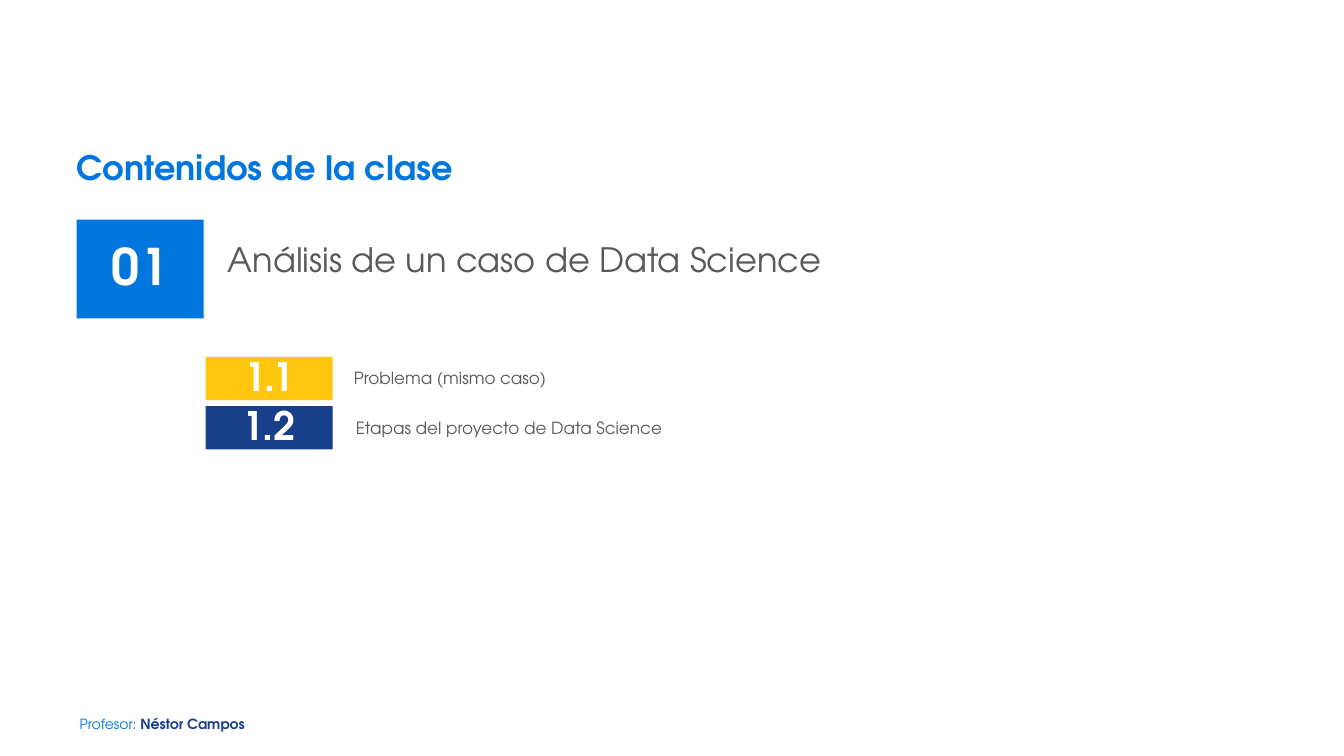
from dataclasses import dataclass
from pptx import Presentation
from pptx.dml.color import RGBColor
from pptx.enum.shapes import MSO_SHAPE
from pptx.enum.text import MSO_ANCHOR, MSO_AUTO_SIZE, PP_ALIGN
from pptx.util import Inches, Pt


@dataclass(frozen=True)
class Theme:
    font: str = "TeX Gyre Adventor"
    blue: str = "0176DE"
    navy: str = "173F8A"
    gold: str = "FEC60D"
    gray: str = "595959"
    white: str = "FFFFFF"
    head: int = 24
    big: int = 36
    mid: int = 28
    body: int = 12
    small: int = 10


theme = Theme()

# Content
heading = "Contenidos de la clase"
topic = ("01", "Análisis de un caso de Data Science")
# number, text, badge colour, left edge of the label
points = [
    ("1.1", "Problema (mismo caso)", theme.gold, 3.27),
    ("1.2", "Etapas del proyecto de Data Science", theme.navy, 3.29),
]
footer = [("Profesor: ", theme.blue, False), ("Néstor Campos", theme.navy, True)]

# Layout, in inches
left, badge_w = 0.76, 1.26
topic_y, topic_h = 2.18, 0.98
point_x, point_y, point_h, pitch = 2.04, 3.54, 0.43, 0.49


def set_font(font, size, color, bold=False):
    font.name, font.size, font.bold = theme.font, Pt(size), bold
    font.color.rgb = RGBColor.from_string(color)


def set_frame(frame, pad_x, pad_y, anchor):
    frame.word_wrap = True
    frame.auto_size = MSO_AUTO_SIZE.NONE
    frame.vertical_anchor = anchor
    frame.margin_left = frame.margin_right = Inches(pad_x)
    frame.margin_top = frame.margin_bottom = Inches(pad_y)


def add_box(slide, box, fill, text, pads):
    shape = slide.shapes.add_shape(MSO_SHAPE.RECTANGLE, *map(Inches, box))
    shape.shadow.inherit = False
    shape.fill.solid()
    shape.fill.fore_color.rgb = RGBColor.from_string(fill)
    shape.line.fill.background()
    set_frame(shape.text_frame, *pads, MSO_ANCHOR.MIDDLE)
    para = shape.text_frame.paragraphs[0]
    para.text = text
    return para


def add_badge(slide, box, fill, text, size):
    para = add_box(slide, box, fill, text, (0.1, 0.05))
    para.alignment, para.line_spacing = PP_ALIGN.CENTER, 0.9
    set_font(para.font, size, theme.white, True)


def add_label(slide, box, text, size):
    para = add_box(slide, box, theme.white, text, (0.24, 0.24))
    para.alignment, para.line_spacing = PP_ALIGN.LEFT, Pt(14)
    set_font(para.font, size, theme.gray)


def main():
    deck = Presentation()
    deck.slide_width, deck.slide_height = Inches(13.33), Inches(7.5)
    slide = deck.slides.add_slide(deck.slide_layouts[5])

    # Title
    title = slide.shapes.title
    title.left, title.top = Inches(left), Inches(1.5)
    title.width, title.height = Inches(11.81), Inches(0.68)
    set_frame(title.text_frame, 0, 0, MSO_ANCHOR.TOP)
    para = title.text_frame.paragraphs[0]
    para.text = heading
    para.alignment, para.line_spacing = PP_ALIGN.LEFT, Pt(26)
    set_font(para.font, theme.head, theme.blue, True)

    # Main topic
    num, text = topic
    add_label(slide, (left + badge_w, topic_y, 10.56, topic_h), text, theme.head)
    add_badge(slide, (left, topic_y, badge_w, topic_h), theme.blue, num, theme.big)

    # Numbered points
    for i, (num, text, color, label_x) in enumerate(points):
        y = point_y + i * pitch
        add_label(slide, (label_x, y, 6.21, point_h), text, theme.body)
        add_badge(slide, (point_x, y, badge_w, point_h), color, num, theme.mid)

    # Footer
    note = slide.shapes.add_textbox(*map(Inches, (0.79, 6.96, 2, 0.26)))
    set_frame(note.text_frame, 0, 0, MSO_ANCHOR.TOP)
    para = note.text_frame.paragraphs[0]
    para.line_spacing = Pt(22)
    for text, color, bold in footer:
        run = para.add_run()
        run.text = text
        set_font(run.font, theme.small, color, bold)

    deck.save("out.pptx")


if __name__ == "__main__":
    main()
